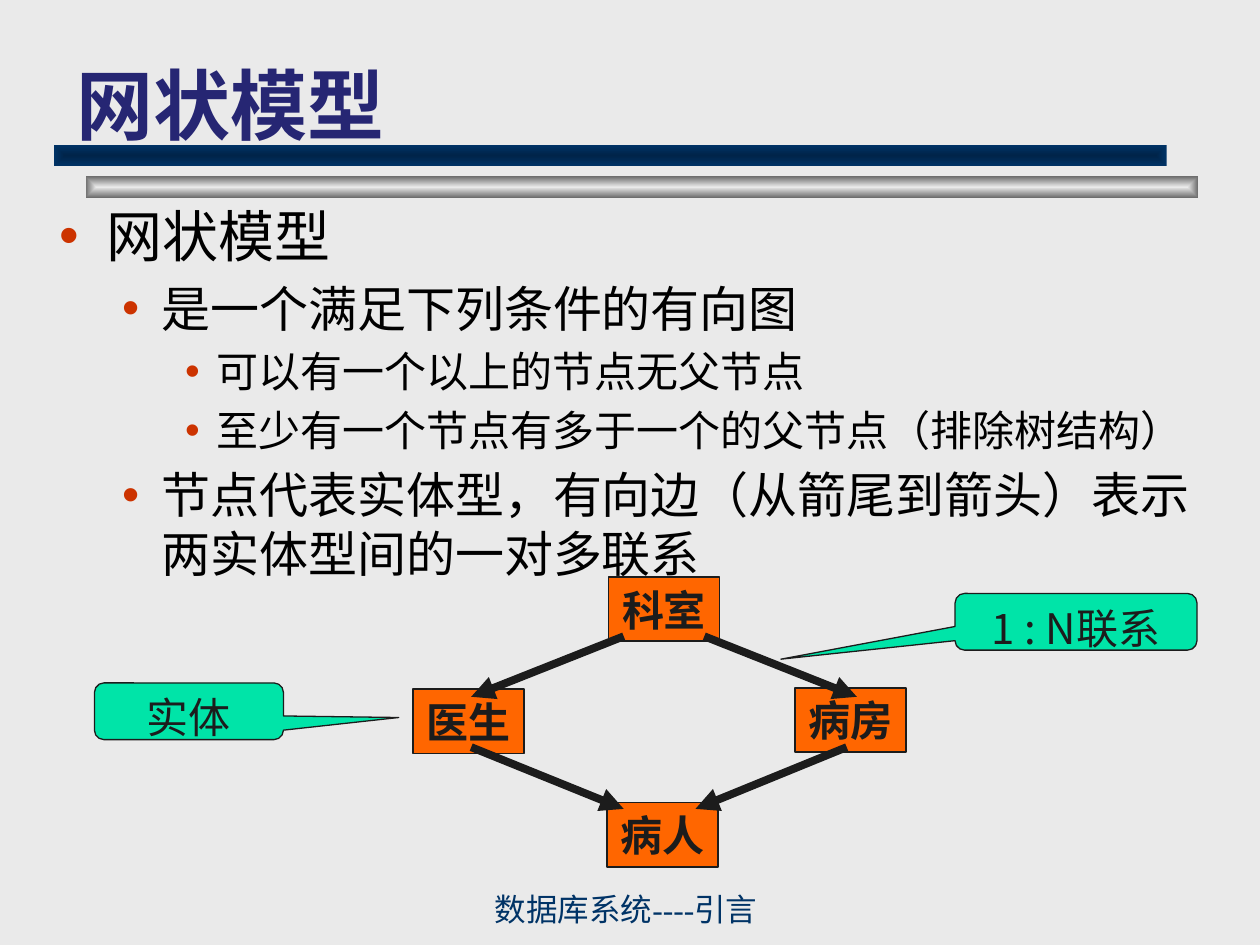
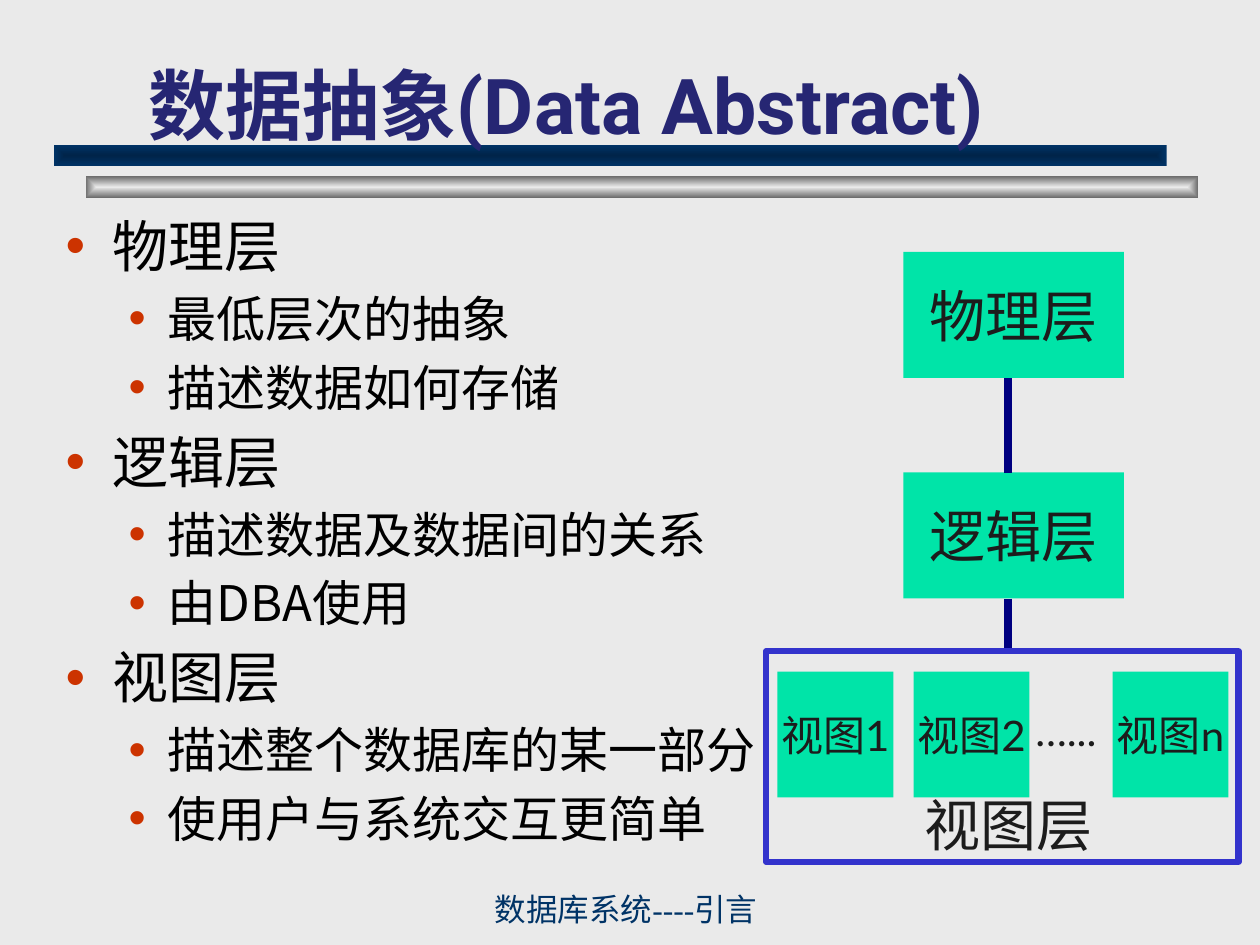
from lxml import etree
from pptx import Presentation
from pptx import util as u
from pptx.dml.color import RGBColor
from pptx.enum import shapes as es, text as et
from pptx.oxml.ns import qn

PX = u.Inches(1) // 100
CJK, LATO = "Noto Sans CJK JP", "Lato"
INK, MINT, ORANGE, NAVY = "1C1C1C", "00E4A8", "FF6600", "003366"
SIZES = (32, 28, 24)
KIND = es.MSO_SHAPE
TOP, MID, LOW = (et.MSO_ANCHOR.TOP, et.MSO_ANCHOR.MIDDLE,
                 et.MSO_ANCHOR.BOTTOM)
LEFT, MIDST = et.PP_ALIGN.LEFT, et.PP_ALIGN.CENTER


def rgb(code):
    return RGBColor.from_string(code)


def px(*nums):
    return [n * PX for n in nums]


def sub(node, tag, **attrs):
    return etree.SubElement(node, qn(tag), attrs)


def write(para, words, size, font=CJK, color=INK, bold=False, align=None):
    para.alignment = align
    run = para.add_run()
    run.text = words
    face = run.font
    face.size, face.bold, face.name = u.Pt(size), bold, font
    face.color.rgb = rgb(color)
    sub(run._r.get_or_add_rPr(), "a:ea", typeface=CJK)


def frame(shape, anchor, wrap):
    box = shape.text_frame
    box.auto_size = et.MSO_AUTO_SIZE.NONE
    box.vertical_anchor, box.word_wrap = anchor, wrap
    return box


def place(shape, at):
    shape.left, shape.top, shape.width, shape.height = px(*at)


def shape(slide, at, kind=KIND.RECTANGLE, fill=None, line=None, width=1):
    item = slide.shapes.add_shape(kind, *px(*at))
    item.shadow.inherit = False
    if fill:
        item.fill.solid()
        item.fill.fore_color.rgb = rgb(fill)
    else:
        item.fill.background()
    if line:
        item.line.color.rgb = rgb(line)
        item.line.width = u.Pt(width)
    else:
        item.line.fill.background()
    return item


def box(slide, words, at, size, font=LATO, bold=False, **look):
    item = shape(slide, at, **look)
    write(frame(item, MID, False).paragraphs[0], words, size, font,
          bold=bold, align=MIDST)


def bubble(slide, words, at, tip):
    """Callout whose pointer ends at tip, a share of its size from its centre."""
    item = shape(slide, at, KIND.ROUNDED_RECTANGULAR_CALLOUT, MINT, INK, 0.75)
    for i, value in enumerate((*tip, 0.167)):
        item.adjustments[i] = value
    write(frame(item, TOP, True).paragraphs[0], words, 24, align=MIDST)


def label(slide, words, at, size, anchor=MID, align=MIDST, **style):
    item = slide.shapes.add_textbox(*px(*at))
    write(frame(item, anchor, False).paragraphs[0], words, size,
          align=align, **style)


def line(slide, ends, color, width, arrow=False):
    item = slide.shapes.add_connector(es.MSO_CONNECTOR.STRAIGHT, *px(*ends))
    item.line.color.rgb = rgb(color)
    item.line.width = u.Pt(width)
    if arrow:
        sub(item.line._get_or_add_ln(), "a:tailEnd", type="triangle")
    sub(item._element.spPr, "a:effectLst")


def band(slide, at, inner, outer):
    """Bar shaded from its centre to its edge, behind all else."""
    item = shape(slide, at)
    item.fill.gradient()
    for stop, code in zip(item.fill.gradient_stops, (inner, outer)):
        stop.color.rgb = rgb(code)
    grad = item._element.spPr.find(qn("a:gradFill"))
    grad.remove(grad.find(qn("a:lin")))
    way = sub(grad, "a:path", path="shape")
    sub(way, "a:fillToRect", l="50000", t="50000", r="50000", b="50000")
    slide.shapes._spTree.insert(2, item._element)


def bullets(body, items):
    area = frame(body, TOP, True)
    area.margin_top = u.Inches(0.1)
    for i, (level, words) in enumerate(items):
        para = area.add_paragraph() if i else area.paragraphs[0]
        size = SIZES[level]
        para.level = level
        para.line_spacing = u.Pt(1.2 * size)
        para.space_before = u.Pt(0.2 * size if i else 0)
        props = para._p.get_or_add_pPr()
        sub(sub(props, "a:buClr"), "a:srgbClr", val="CC3300")
        sub(props, "a:buChar", char="•")
        write(para, words, size, color="000000")


def page(deck, title, left, at, items):
    slide = deck.slides.add_slide(deck.slide_layouts[1])
    band(slide, (43, 115, 883, 17), "002449", NAVY)
    band(slide, (68, 140, 883, 17), "EAEAEA", "6C6C6C")
    head, body = slide.placeholders
    place(head, (left, 33, 852, 86))
    area = frame(head, LOW, True)
    area.margin_bottom = 0
    write(area.paragraphs[0], title, 44, "Roboto", "262673", True, LEFT)
    place(body, at)
    bullets(body, items)
    label(slide, "数据库系统----引言", (383, 708, 408, 33), 18, LOW, LEFT,
          font="Times New Roman", color=NAVY)
    return slide


def network(deck):
    slide = page(deck, "网状模型", 51, (37, 150, 938, 550), (
        (0, "网状模型"),
        (1, "是一个满足下列条件的有向图"),
        (2, "可以有一个以上的节点无父节点"),
        (2, "至少有一个节点有多于一个的父节点（排除树结构）"),
        (1, "节点代表实体型，有向边（从箭尾到箭头）表示两实体型间的一对多联系")))
    for words, x, y in (("科室", 483, 458), ("医生", 328, 547),
                        ("病房", 631, 546), ("病人", 482, 637)):
        box(slide, words, (x, y, 88, 51), 24, CJK, True,
            fill=ORANGE, line=INK)
    for ends in ((495, 505, 374, 553), (559, 505, 680, 553),
                 (374, 593, 495, 642), (672, 593, 552, 642)):
        line(slide, ends, INK, 4.5, True)
    bubble(slide, "实体", (75, 542, 150, 45), (1.11, 0.11))
    bubble(slide, "1 : N联系", (758, 471, 192, 45), (-1.22, 0.66))


def layers(deck):
    slide = page(deck, "数据抽象(Data Abstract)", 108, (42, 158, 569, 558), (
        (0, "物理层"), (1, "最低层次的抽象"), (1, "描述数据如何存储"),
        (0, "逻辑层"), (1, "描述数据及数据间的关系"), (1, "由DBA使用"),
        (0, "视图层"), (1, "描述整个数据库的某一部分"),
        (1, "使用户与系统交互更简单")))
    for words, y in (("物理层", 200), ("逻辑层", 375)):
        box(slide, words, (717, y, 175, 100), 32, fill=MINT)
    for words, x in (("视图1", 617), ("视图2", 725), ("视图n", 883)):
        box(slide, words, (x, 533, 92, 100), 24, fill=MINT)
    for top, end in ((300, 375), (475, 517)):
        line(slide, (800, top, 800, end), "000080", 5)
    shape(slide, (608, 517, 375, 167), line="3333CC", width=3.5)
    label(slide, "…...", (817, 558, 58, 42), 24, font=LATO)
    label(slide, "视图层", (717, 633, 167, 42), 32, font=LATO)


def main():
    deck = Presentation()
    deck.slide_width, deck.slide_height = px(1000, 750)
    back = deck.slide_master.background.fill
    back.solid()
    back.fore_color.rgb = rgb("EAEAEA")
    network(deck)
    layers(deck)
    deck.save("out.pptx")


if __name__ == "__main__":
    main()
